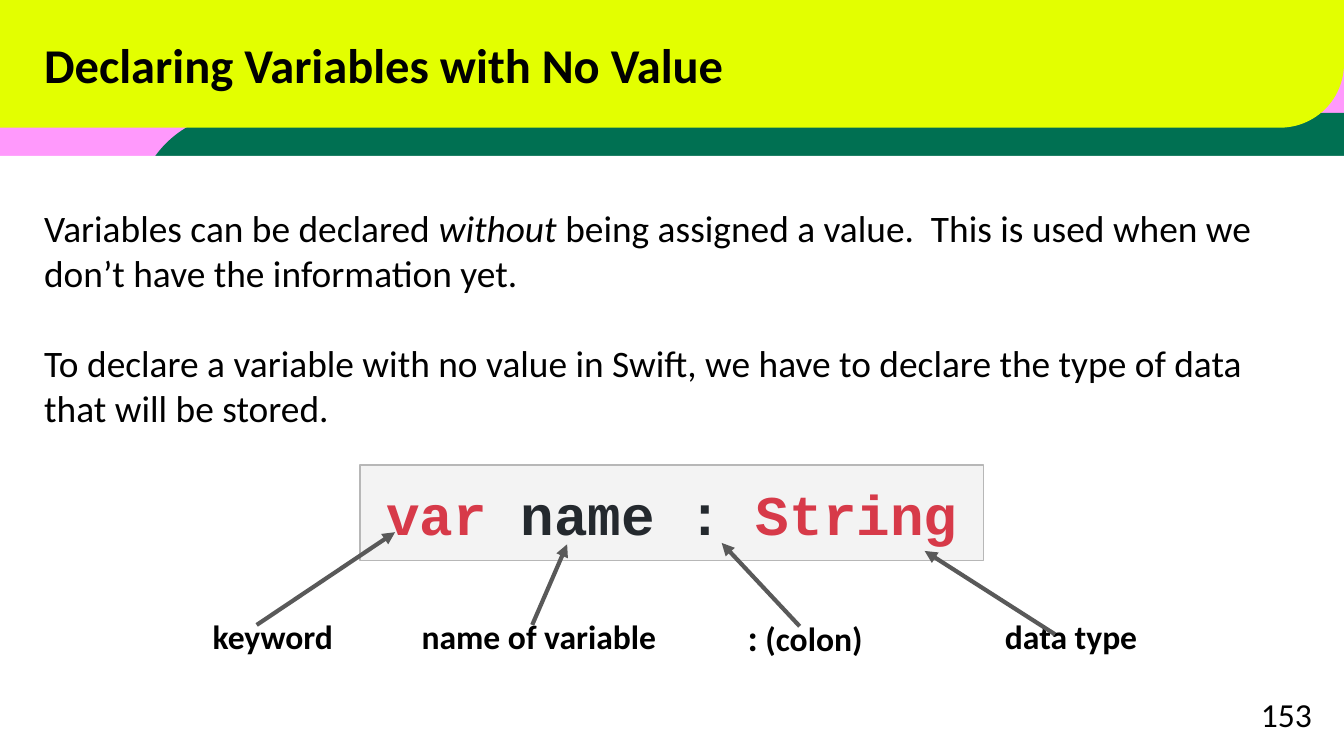
from lxml import etree
from pptx import Presentation
from pptx import util as u
from pptx.dml.color import RGBColor
from pptx.enum import shapes, text
from pptx.oxml.ns import qn

COLORS = {
    "pink": "FF99FC", "green": "007052", "lime": "E3FF00", "white": "FFFFFF",
    "black": "000000", "panel": "F3F3F3", "border": "B7B7B7",
    "keyword": "D73A49", "code": "24292E", "arrow": "595959",
}
WIDTH = 10
HEIGHT = WIDTH * 9 / 16


def color(name):
    return RGBColor.from_string(COLORS[name])


def add_block(page, kind, box, fill):
    block = page.shapes.add_shape(kind, *map(u.Inches, box))
    block.shadow.inherit = False
    block.fill.solid()
    block.fill.fore_color.rgb = color(fill)
    block.line.fill.background()
    return block


def set_margins(holder):
    holder.margin_left = holder.margin_right = u.Inches(0.1)
    holder.margin_top = holder.margin_bottom = u.Inches(0.1)


def prepare_frame(frame, anchor):
    frame.word_wrap = True
    frame.vertical_anchor = anchor
    set_margins(frame)


def add_span(para, words, size, ink="black", bold=False, italic=False, face="Calibri"):
    span = para.add_run()
    span.text = words
    span.font.name = face
    span.font.size = u.Pt(size)
    span.font.bold = bold
    span.font.italic = italic
    span.font.color.rgb = color(ink)


def add_text(page, box, anchor=text.MSO_ANCHOR.TOP):
    frame = page.shapes.add_textbox(*map(u.Inches, box)).text_frame
    prepare_frame(frame, anchor)
    return frame


def add_backdrop(page, box):
    left, top, width, height = box
    page.background.fill.solid()
    page.background.fill.fore_color.rgb = color("pink")
    rounded = shapes.MSO_SHAPE.ROUND_1_RECTANGLE

    # Green band with its round corner at top left
    green = add_block(page, rounded, (left + 1.01, top + 0.84, width - 1.01, 4.54), "green")
    green.adjustments[0] = 0.17
    # Lime header with its round corner at bottom right
    lime = add_block(page, rounded, (left - 0.03, top, width + 0.03, 0.95), "lime")
    lime.adjustments[0] = 0.5
    lime.rotation = 180
    for band in (green, lime):
        band._element.spPr.find(qn("a:xfrm")).set("flipH", "1")
    # White content area
    add_block(page, shapes.MSO_SHAPE.RECTANGLE,
              (left, top + 1.16, width, height - 1.16), "white")


def add_title(page, box):
    add_span(add_text(page, box).paragraphs[0],
             "Declaring Variables with No Value", 26, bold=True)


def add_page_number(page, box):
    para = add_text(page, box, text.MSO_ANCHOR.MIDDLE).paragraphs[0]
    para.alignment = text.PP_ALIGN.RIGHT
    add_span(para, "153", 18)


def add_explanation(page, box):
    frame = add_text(page, box)
    para = frame.paragraphs[0]
    add_span(para, "Variables can be declared ", 20)
    add_span(para, "without", 20, italic=True)
    add_span(para, " being assigned a value.  This is used when we "
                   "don’t have the information yet.", 20)
    para = frame.add_paragraph()
    para.space_before = u.Pt(24)
    add_span(para, "To declare a variable with no value in Swift, we have to "
                   "declare the type of data that will be stored.", 20)


def add_code(page, box):
    panel = add_block(page, shapes.MSO_SHAPE.RECTANGLE, box, "panel")
    panel.line.color.rgb = color("border")
    panel.line.width = u.Pt(0.75)
    prepare_frame(panel.text_frame, text.MSO_ANCHOR.MIDDLE)
    para = panel.text_frame.paragraphs[0]
    para.alignment = text.PP_ALIGN.CENTER
    for words, ink in (("var", "keyword"), (" name : ", "code"), ("String", "keyword")):
        add_span(para, words, 30, ink, bold=True, face="Courier New")


def add_labels(page, box):
    labels = [[("keyword", 18)], [("name of variable", 18)],
              [(":", 20), (" (colon)", 18)], [("data type", 18)]]
    table = page.shapes.add_table(1, len(labels), *map(u.Inches, box)).table
    table.first_row = table.horz_banding = False
    for cell, label in zip(table.rows[0].cells, labels):
        cell.fill.background()
        cell.vertical_anchor = text.MSO_ANCHOR.MIDDLE
        set_margins(cell)
        para = cell.text_frame.paragraphs[0]
        para.alignment = text.PP_ALIGN.CENTER
        for words, size in label:
            add_span(para, words, size, bold=True)


def add_arrows(page, box):
    left, top = box[:2]
    # Label end and code end of each arrow, relative to the box
    arrows = [(0, 0.69, 1.03, 0), (2.05, 0.69, 2.31, 0.09),
              (4.04, 0.7, 3.46, 0.08), (5.94, 0.76, 4.97, 0.14)]
    for start_x, start_y, end_x, end_y in arrows:
        ends = (left + start_x, top + start_y, left + end_x, top + end_y)
        arrow = page.shapes.add_connector(shapes.MSO_CONNECTOR.STRAIGHT,
                                          *map(u.Inches, ends))
        arrow.line.color.rgb = color("arrow")
        arrow.line.width = u.Pt(2.25)
        etree.SubElement(arrow.line._get_or_add_ln(), qn("a:tailEnd"), type="triangle")
        etree.SubElement(arrow._element.spPr, qn("a:effectLst"))


def main():
    deck = Presentation()
    deck.slide_width, deck.slide_height = u.Inches(WIDTH), u.Inches(HEIGHT)
    page = deck.slides.add_slide(deck.slide_layouts[6])
    add_backdrop(page, (0, 0, WIDTH, HEIGHT))
    add_page_number(page, (9.09, 5.1, 0.77, 0.43))
    add_title(page, (0.23, 0.16, 9.64, 0.75))
    add_explanation(page, (0.23, 1.43, 9.49, 3.67))
    add_code(page, (2.68, 3.46, 4.64, 0.71))
    add_labels(page, (1.04, 4.48, 7.92, 0.42))
    add_arrows(page, (1.91, 3.96, 5.94, 0.76))
    deck.save("out.pptx")


if __name__ == "__main__":
    main()
